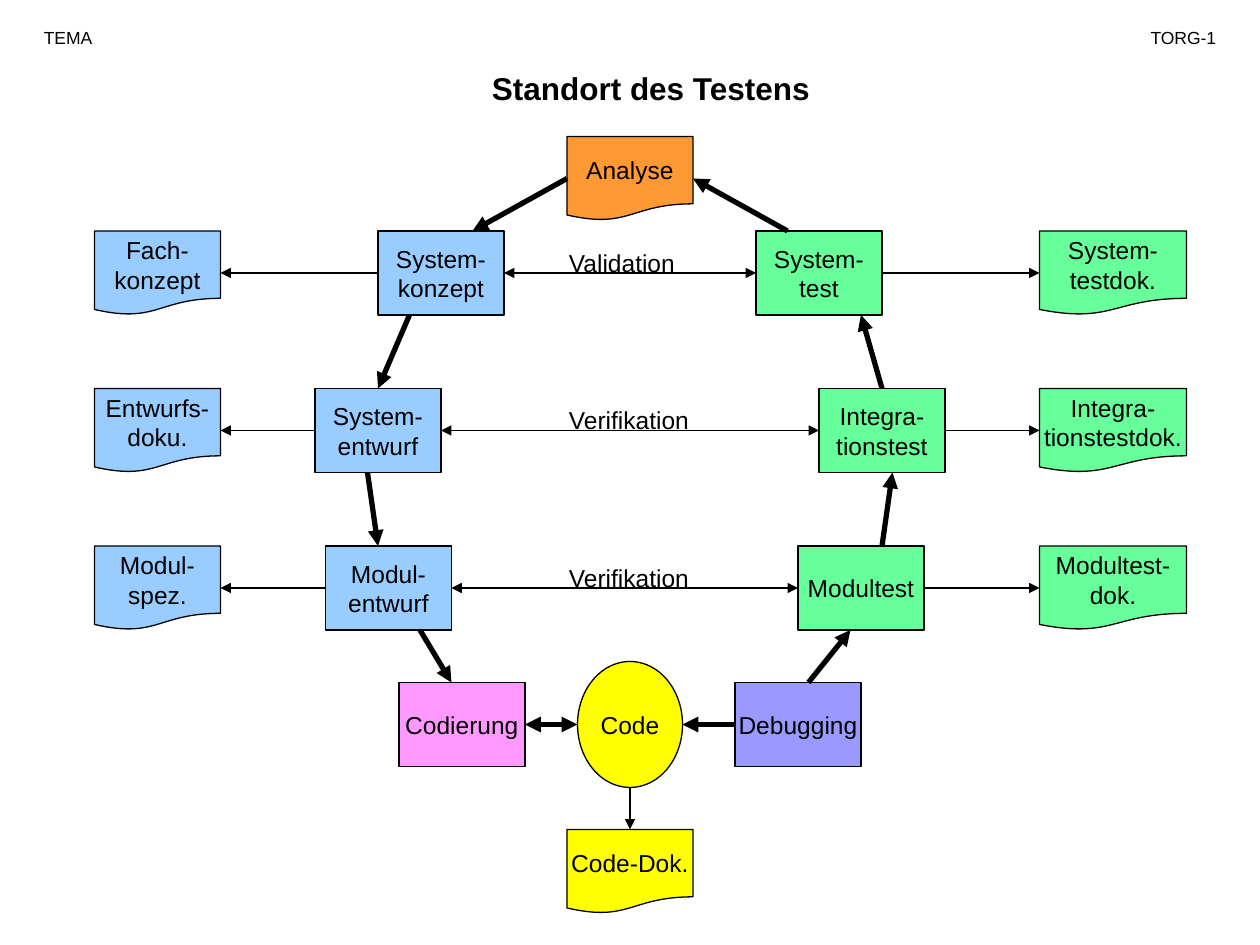
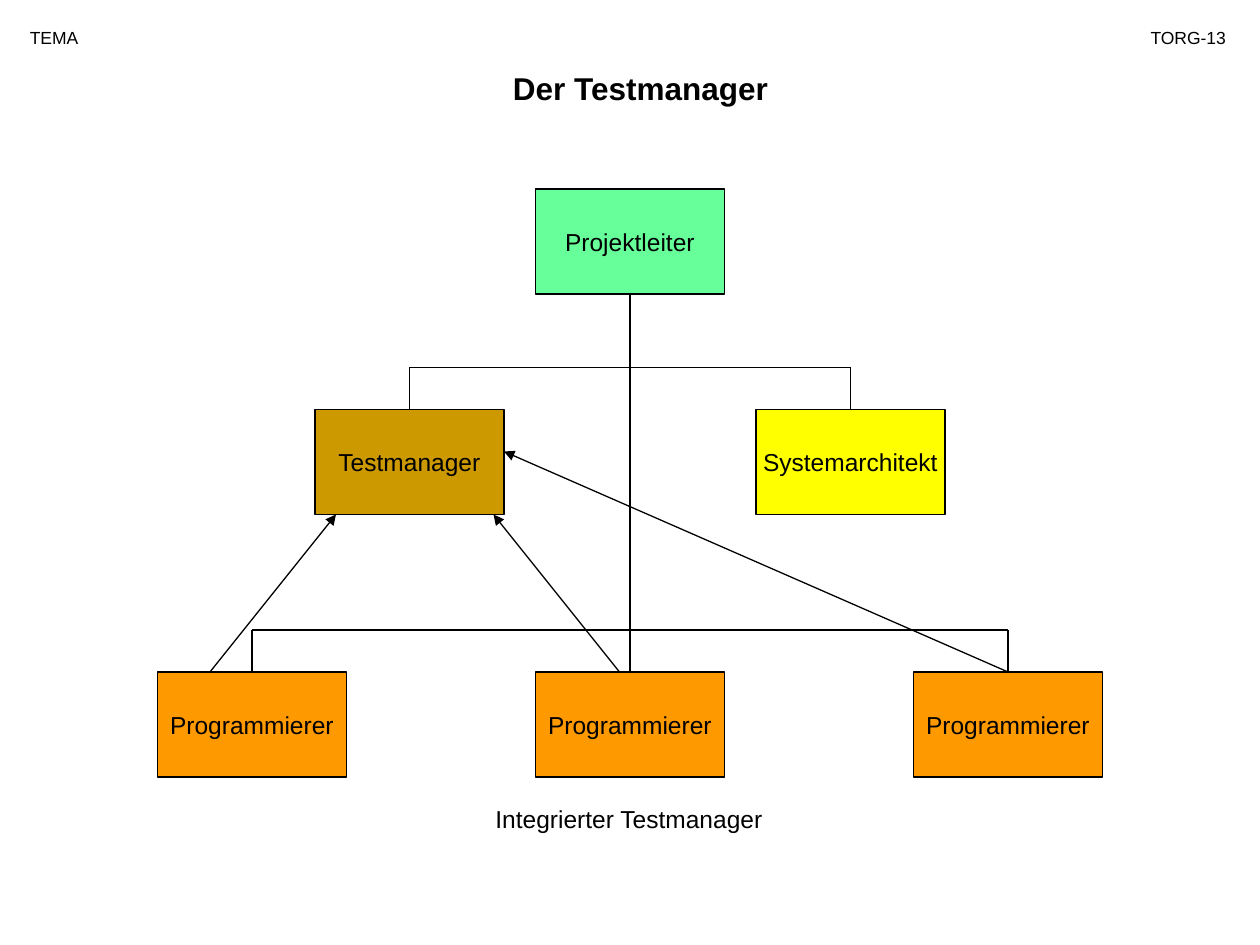
from lxml import etree
from pptx import Presentation
from pptx.dml.color import RGBColor
from pptx.enum.shapes import MSO_CONNECTOR, MSO_SHAPE
from pptx.enum.text import MSO_ANCHOR, PP_ALIGN
from pptx.oxml.ns import qn
from pptx.util import Pt

RECTANGLE, DOCUMENT, OVAL = MSO_SHAPE.RECTANGLE, MSO_SHAPE.FLOWCHART_DOCUMENT, MSO_SHAPE.OVAL
STRAIGHT = MSO_CONNECTOR.STRAIGHT
LEFT, CENTER, RIGHT = PP_ALIGN.LEFT, PP_ALIGN.CENTER, PP_ALIGN.RIGHT
MIDDLE, TOP = MSO_ANCHOR.MIDDLE, MSO_ANCHOR.TOP

FONT = "Arial"
THIN, THICK = 0.75, 3
COLORS = {
    "ink": "000000",
    "analysis": "FF9933",
    "design": "99CCFF",
    "test": "66FF99",
    "code": "FFFF00",
    "coding": "FF99FF",
    "debugging": "9999FF",
    "programmer": "FF9900",
    "manager": "CC9900",
}


def add_text(page, text, left, top, width, height, shape=None, fill=None,
             size=14, bold=False, align=LEFT):
    """Add a text box, or a filled and outlined shape if a shape kind is given."""
    frame = Pt(left), Pt(top), Pt(width), Pt(height)
    if shape is None:
        box = page.shapes.add_textbox(*frame)
    else:
        box = page.shapes.add_shape(shape, *frame)
        box.shadow.inherit = False
        box.fill.solid()
        box.fill.fore_color.rgb = RGBColor.from_string(COLORS[fill])
        box.line.color.rgb = RGBColor.from_string(COLORS["ink"])
        box.line.width = Pt(THIN)
        align = CENTER
    body = box.text_frame
    body.word_wrap = shape is None
    body.vertical_anchor = TOP if shape is None else MIDDLE
    body.text = text
    for para in body.paragraphs:
        para.alignment = align
        para.font.name = FONT
        para.font.size = Pt(size)
        para.font.bold = bold
        para.font.color.rgb = RGBColor.from_string(COLORS["ink"])


def add_line(page, start_x, start_y, end_x, end_y, width=THIN, arrows=("tailEnd",)):
    line = page.shapes.add_connector(STRAIGHT, Pt(start_x), Pt(start_y), Pt(end_x), Pt(end_y))
    line.line.color.rgb = RGBColor.from_string(COLORS["ink"])
    line.line.width = Pt(width)
    properties = line.element.spPr
    for arrow in arrows:
        etree.SubElement(properties.find(qn("a:ln")), qn(f"a:{arrow}"), type="triangle")
    etree.SubElement(properties, qn("a:effectLst"))


BOTH_ENDS = ("headEnd", "tailEnd")

deck = Presentation()
deck.slide_width, deck.slide_height = Pt(720), Pt(540)

# Title and header line; each text with its left edge and width
headers = [
    [("Standort des Testens", 156, 432), ("TEMA", 18, 66), ("TORG-1", 630, 72)],
    [("Der Testmanager", 102, 528), ("TEMA", 10, 81), ("TORG-13", 634.5, 73)],
]
pages = []
for (title, title_left, title_width), course, number in headers:
    page = deck.slides.add_slide(deck.slide_layouts[6])
    add_text(page, title, title_left, 36, title_width, 29, size=18, bold=True, align=CENTER)
    for (text, left, width), align in ((course, LEFT), (number, RIGHT)):
        add_text(page, text, left, 12, width, 20, size=10, align=align)
    pages.append(page)
v_model, organisation = pages

# V-model: one row per level, from design document to test document
STEP_WIDTH, STEP_HEIGHT = 72, 48
SPEC_LEFT, REPORT_LEFT, REPORT_WIDTH = 54, 594, 84
LEVEL_TOP, LEVEL_PITCH = 132, 90
levels = [
    (216, 432, "Fach-\nkonzept", "System-\nkonzept", "Validation",
     "System-\ntest", "System-\ntestdok."),
    (180, 468, "Entwurfs-\ndoku.", "System-\nentwurf", "Verifikation",
     "Integra-\ntionstest", "Integra-\ntionstestdok."),
    (186, 456, "Modul-\nspez.", "Modul-\nentwurf", "Verifikation",
     "Modultest", "Modultest-\ndok."),
]
for index, (design_left, test_left, spec, design, check, test, report) in enumerate(levels):
    top = LEVEL_TOP + index * LEVEL_PITCH
    middle = top + STEP_HEIGHT / 2
    for text, left, width, shape, fill in (
        (spec, SPEC_LEFT, STEP_WIDTH, DOCUMENT, "design"),
        (design, design_left, STEP_WIDTH, RECTANGLE, "design"),
        (test, test_left, STEP_WIDTH, RECTANGLE, "test"),
        (report, REPORT_LEFT, REPORT_WIDTH, DOCUMENT, "test"),
    ):
        add_text(v_model, text, left, top, width, STEP_HEIGHT, shape, fill)
    add_line(v_model, design_left, middle, SPEC_LEFT + STEP_WIDTH, middle)
    add_line(v_model, design_left + STEP_WIDTH, middle, test_left, middle, arrows=BOTH_ENDS)
    add_line(v_model, test_left + STEP_WIDTH, middle, REPORT_LEFT, middle)
    add_text(v_model, check, 318, top + 6, 84, 24.5)

for text, left, top, shape, fill in (
    ("Analyse", 324, 78, DOCUMENT, "analysis"),
    ("Codierung", 228, 390, RECTANGLE, "coding"),
    ("Debugging", 420, 390, RECTANGLE, "debugging"),
    ("Code-Dok.", 324, 474, DOCUMENT, "code"),
):
    add_text(v_model, text, left, top, STEP_WIDTH, STEP_HEIGHT, shape, fill)
add_text(v_model, "Code", 330, 378, 60, 72, OVAL, "code")

process_steps = [
    (324, 102, 270, 132), (234, 180, 216, 222), (210, 270, 216, 312), (240, 360, 258, 390),
    (420, 414, 390, 414), (462, 390, 486, 360), (504, 312, 510, 270), (504, 222, 492, 180),
    (450, 132, 396, 102),
]
for step in process_steps:
    add_line(v_model, *step, width=THICK)
add_line(v_model, 300, 414, 330, 414, width=THICK, arrows=BOTH_ENDS)
add_line(v_model, 360, 450, 360, 474)

# Organisation chart
ROLE_WIDTH, ROLE_HEIGHT = 108, 60
for text, left, top, fill in (
    ("Projektleiter", 306, 108, "test"),
    ("Testmanager", 180, 234, "manager"),
    ("Systemarchitekt", 432, 234, "code"),
    *(("Programmierer", left, 384, "programmer") for left in (90, 306, 522)),
):
    add_text(organisation, text, left, top, ROLE_WIDTH, ROLE_HEIGHT, RECTANGLE, fill)

add_line(organisation, 360, 168, 360, 384, arrows=())
for left, right, role_top in ((234, 486, 234), (144, 576, 384)):
    bracket_top = role_top - 24
    add_line(organisation, left, bracket_top, right, bracket_top, arrows=())
    for x in (left, right):
        add_line(organisation, x, bracket_top, x, role_top, arrows=())

for report_line in ((120, 384, 192, 294), (354, 384, 282, 294), (576, 384, 288, 258)):
    add_line(organisation, *report_line)
add_text(organisation, "Integrierter Testmanager", 276, 456, 168, 41)

deck.save("out.pptx")
